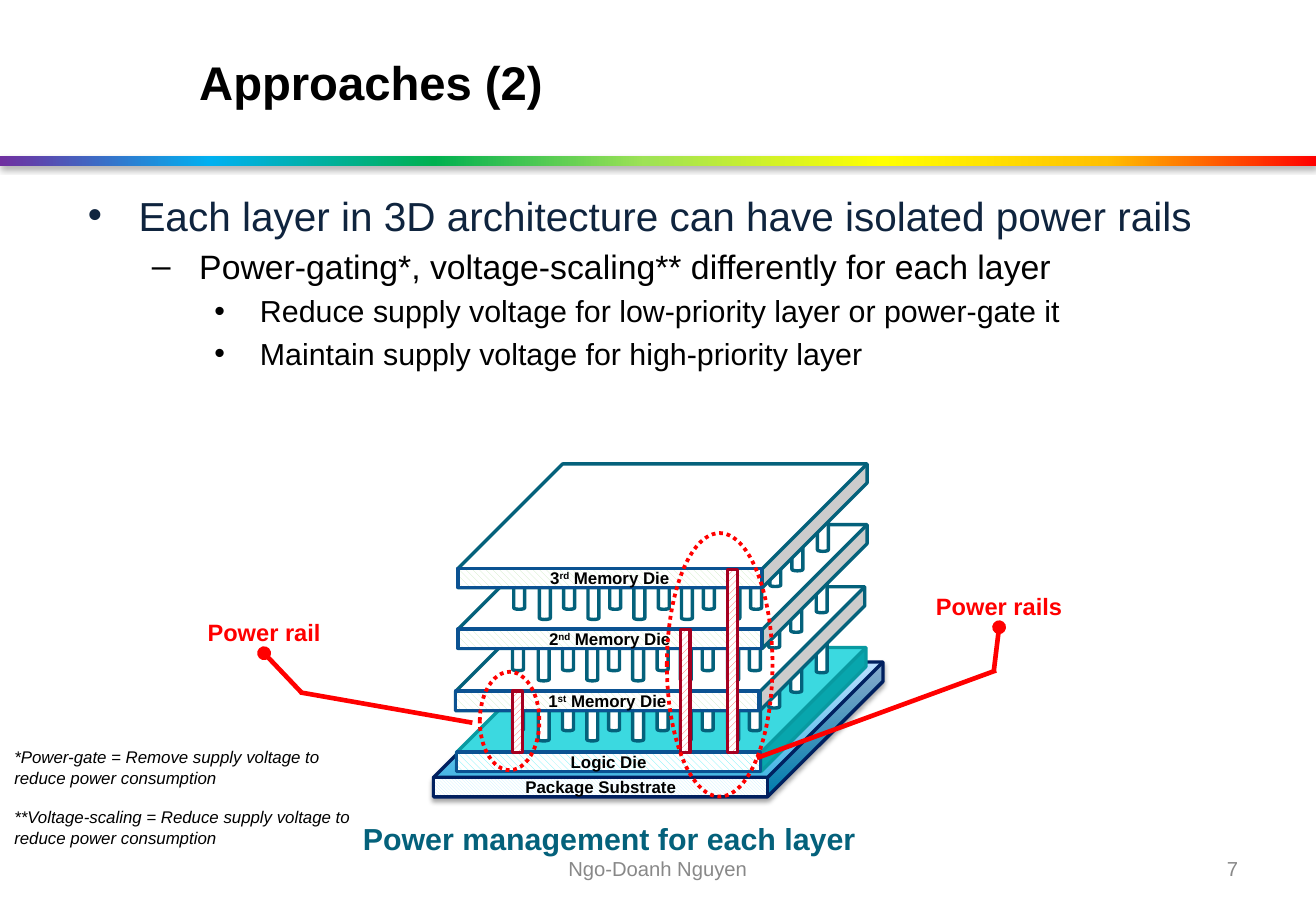
from dataclasses import dataclass
from lxml.etree import SubElement
from pptx import Presentation
from pptx.dml.color import RGBColor
from pptx.enum.dml import MSO_LINE, MSO_PATTERN
from pptx.enum.shapes import MSO_CONNECTOR, MSO_SHAPE
from pptx.enum.text import MSO_ANCHOR, PP_ALIGN
from pptx.oxml import parse_xml
from pptx.oxml.ns import nsdecls, qn
from pptx.util import Pt


@dataclass(frozen=True)
class Theme:
    font: str = "Arial"
    black: str = "000000"
    white: str = "FFFFFF"
    gray: str = "888888"
    navy: str = "0F243E"
    red: str = "FF0000"
    teal: str = "04617B"
    edge: str = "0B5292"
    base: str = "002060"
    logic: str = "0BD0D9"
    rim: str = "089AA1"
    wine: str = "A50021"
    rose: str = "FF5353"
    ice: str = "C4EFFF"
    aqua: str = "5EF0F7"
    mint: str = "CBEAC0"
    sky: tuple = ((0, "009DD9"), (100, "ABD6FF"))
    bow: tuple = ((0, "7030A0"), (16, "00B0F0"), (33, "00B050"), (49, "9EE256"),
                  (67, "FFFF00"), (84, "FFC000"), (100, "FF0000"))
    title: int = 28
    lead: int = 24
    sub: int = 20
    item: int = 18
    call: int = 14
    foot: int = 12
    note: int = 10


T = Theme()
rgb = RGBColor.from_string


def draw(home, kind, box, fill=None, line=None, width=2, turn=0, shade=False):
    """Fill is a colour, a (pattern, colour) pair, a tuple of stops or None."""
    shape = home.add_shape(kind, *map(Pt, box))
    shape.shadow.inherit = False
    if fill is None:
        shape.fill.background()
    elif isinstance(fill, str):
        shape.fill.solid()
        shape.fill.fore_color.rgb = rgb(fill)
    elif isinstance(fill[0], tuple):
        shape.fill.gradient()
        shape.fill.gradient_angle = turn
        stops = shape._element.spPr.find(".//" + qn("a:gsLst"))
        stops.clear()
        for pos, color in fill:
            stop = SubElement(stops, qn("a:gs"), pos=str(pos * 1000))
            SubElement(stop, qn("a:srgbClr"), val=color)
    else:
        shape.fill.patterned()
        shape.fill.pattern = fill[0]
        shape.fill.fore_color.rgb = rgb(fill[1])
        shape.fill.back_color.rgb = rgb(T.white)
    if line:
        shape.line.color.rgb = rgb(line)
        shape.line.width = Pt(width)
    else:
        shape.line.fill.background()
    if shade:
        shape._element.spPr.find(qn("a:effectLst")).append(parse_xml(
            f'<a:outerShdw {nsdecls("a")} blurRad="39400" dist="23000" dir="5400000" rotWithShape="0">'
            '<a:srgbClr val="000000"><a:alpha val="35000"/></a:srgbClr></a:outerShdw>'))
    return shape


def write(para, runs, size, color, bold=False, slant=False, align=PP_ALIGN.LEFT):
    """Every second run is raised."""
    para.alignment = align
    for i, text in enumerate(runs):
        run = para.add_run()
        run.text = text
        font = run.font
        font.name, font.size, font.bold, font.italic = T.font, Pt(size), bold, slant
        font.color.rgb = rgb(color)
        if i % 2:
            run._r.get_or_add_rPr().set("baseline", "30000")


deck = Presentation()
deck.slide_width, deck.slide_height = Pt(780), Pt(540)
slide = deck.slides.add_slide(deck.slide_layouts[6])
shapes = slide.shapes

# Rainbow rule under the title
draw(shapes, MSO_SHAPE.RECTANGLE, (0, 92.5, 780, 5.8), T.bow, shade=True)

# Title, footer, caption and callout names
MID, TOP = MSO_ANCHOR.MIDDLE, MSO_ANCHOR.TOP
LEFT, CENTER, RIGHT = PP_ALIGN.LEFT, PP_ALIGN.CENTER, PP_ALIGN.RIGHT
boxes = {}
for text, box, size, color, bold, align, anchor in (
    ("Approaches (2)", (111, 12.3, 631, 72), T.title, T.black, True, LEFT, MID),
    ("Ngo-Doanh Nguyen", (266.4, 500.4, 247, 28.8), T.foot, T.gray, False, CENTER, MID),
    ("7", (558.7, 500.4, 182.2, 28.8), T.foot, T.gray, False, RIGHT, MID),
    ("Power management for each layer", (208, 482.4, 364.3, 29), T.item, T.teal, True, LEFT, TOP),
    ("Power rails", (540.7, 347.6, 103, 24.2), T.call, T.red, True, CENTER, TOP),
    ("Power rail", (109.4, 363, 94.3, 24.2), T.call, T.red, True, CENTER, TOP),
):
    boxes[text] = shapes.add_textbox(*map(Pt, box))
    frame = boxes[text].text_frame
    frame.word_wrap, frame.vertical_anchor = True, anchor
    write(frame.paragraphs[0], [text], size, color, bold, align=align)

# Bulleted text
frame = shapes.add_textbox(Pt(39), Pt(109.5), Pt(702), Pt(373)).text_frame
frame.word_wrap = True
for i, (text, level, size, color, gap) in enumerate((
    ("Each layer in 3D architecture can have isolated power rails", 0, T.lead, T.navy, 0),
    ("Power-gating*, voltage-scaling** differently for each layer", 1, T.sub, T.black, 4),
    ("Reduce supply voltage for low-priority layer or power-gate it", 2, T.item, T.black, 3.6),
    ("Maintain supply voltage for high-priority layer", 2, T.item, T.black, 3.6),
)):
    para = frame.add_paragraph() if i else frame.paragraphs[0]
    para.level = level
    para.space_before = Pt(gap)
    props = para._p.get_or_add_pPr()
    props.set("marL", str(Pt(36 * (level + 1))))
    props.set("indent", str(-Pt((30, 28, 27)[level])))
    SubElement(props, qn("a:buFont"), typeface=T.font)
    SubElement(props, qn("a:buChar"), char="•–•"[level])
    write(para, [text], size, color)

# Footnotes
frame = shapes.add_textbox(Pt(1.4), Pt(439.2), Pt(219.6), Pt(67.7)).text_frame
frame.word_wrap = True
for i, text in enumerate((
    "*Power-gate = Remove supply voltage to reduce power consumption",
    "**Voltage-scaling = Reduce supply voltage to reduce power consumption",
)):
    para = frame.add_paragraph() if i else frame.paragraphs[0]
    para.space_before = Pt(11.5 * i)
    write(para, [text], T.note, T.black, slant=True)

# Die stack, bottom to top, with pillars under each memory die
stack = shapes.add_group_shape().shapes
WIDE, DARK = MSO_PATTERN.WIDE_DOWNWARD_DIAGONAL, MSO_PATTERN.DARK_DOWNWARD_DIAGONAL
LONG, SHORT, MEDIUM = (358.6, 80.6), (378.2, 55), (373, 66.2)
pillars = [(x, *size) for size, row in (
    (LONG, (347.8, 403.2, 431.3)),
    (SHORT, (360.7, 333.4, 303.8, 416.2, 389.5, 444.2)),
    (MEDIUM, (319, 375)),
) for x in row] + [(455.6, 339.1, 80.6), (468.7, 329.8, 80.6), (483.8, 318.2, 80.6)]
roof = 283

for runs, x, y, size, front, depth, fill, line, mark, rim, shift in (
    (["Package Substrate"], 257, 392.4, (266.4, 79.9), (198, 11.5), 0.856,
     T.sky, T.base, (DARK, T.ice), T.base, None),
    (["Logic Die"], 270.7, 383.8, (242.6, 73.4), (180, 11.5), 0.847,
     T.logic, T.rim, (WIDE, T.aqua), T.edge, None),
    (["1", "st", " Memory Die"], 270, 347.8, (242.6, 73.4), (180, 11.5), 0.847,
     T.white, T.teal, (WIDE, T.mint), T.edge, (0, 0)),
    (["2", "nd", " Memory Die"], 271.4, 311, (242.6, 73.4), (180, 11.5), 0.847,
     T.white, T.teal, (WIDE, T.mint), T.edge, (0, -35.6)),
    (["3", "rd", " Memory Die"], 271.4, 275, (242.6, 73.4), (180, 11.5), 0.847,
     T.white, T.teal, (WIDE, T.mint), T.edge, (0.7, -72)),
):
    if shift:
        for left, top, tall in pillars:
            start = max(top + shift[1], roof)
            end = top + tall + shift[1]
            draw(stack, MSO_SHAPE.CAN, (left + shift[0], start, 6.5, end - start), T.white, T.teal)
    cube = draw(stack, MSO_SHAPE.CUBE, (x, y, *size), fill, line, turn=90, shade=fill == T.sky)
    cube.adjustments[0] = depth
    face = draw(stack, MSO_SHAPE.RECTANGLE, (x, y + size[1] - front[1], *front), mark, rim)
    frame = face.text_frame
    frame.margin_left = frame.margin_right = frame.margin_top = frame.margin_bottom = 0
    frame.vertical_anchor = MID
    write(frame.paragraphs[0], runs, T.note, T.black, True, align=CENTER)

# Power rails, each reaching down to the logic die
for x, y in ((403.2, 373), (431.3, 337.4), (303.8, 409.7)):
    draw(shapes, MSO_SHAPE.RECTANGLE, (x, y, 5.8, 446 - y),
         (MSO_PATTERN.WIDE_UPWARD_DIAGONAL, T.rose), T.wine)

# Dotted rings
for box in ((395.3, 316, 62.6, 156.2), (284.4, 398.2, 35.3, 58.3)):
    ring = draw(shapes, MSO_SHAPE.OVAL, box, None, T.red, 2.25)
    ring.line.dash_style = MSO_LINE.ROUND_DOT

# Leader lines, the second of each pair ending in a dot at its name
for name, ends in (
    ("Power rails", (448.6, 449.3, 590.4, 397.4)), ("Power rails", (589, 398.2, 592.2, 371.8)),
    ("Power rail", (177.8, 410.4, 280, 428.4)), ("Power rail", (178.6, 410.4, 156.5, 387.2)),
):
    lead = shapes.add_connector(MSO_CONNECTOR.STRAIGHT, *map(Pt, ends))
    lead.line.color.rgb = rgb(T.red)
    lead.line.width = Pt(2.75)
    if ends[3] < 390:
        lead.end_connect(boxes[name], 2)
        SubElement(lead.line._get_or_add_ln(), qn("a:tailEnd"), type="oval")
    SubElement(lead._element.spPr, qn("a:effectLst"))

deck.save("out.pptx")
